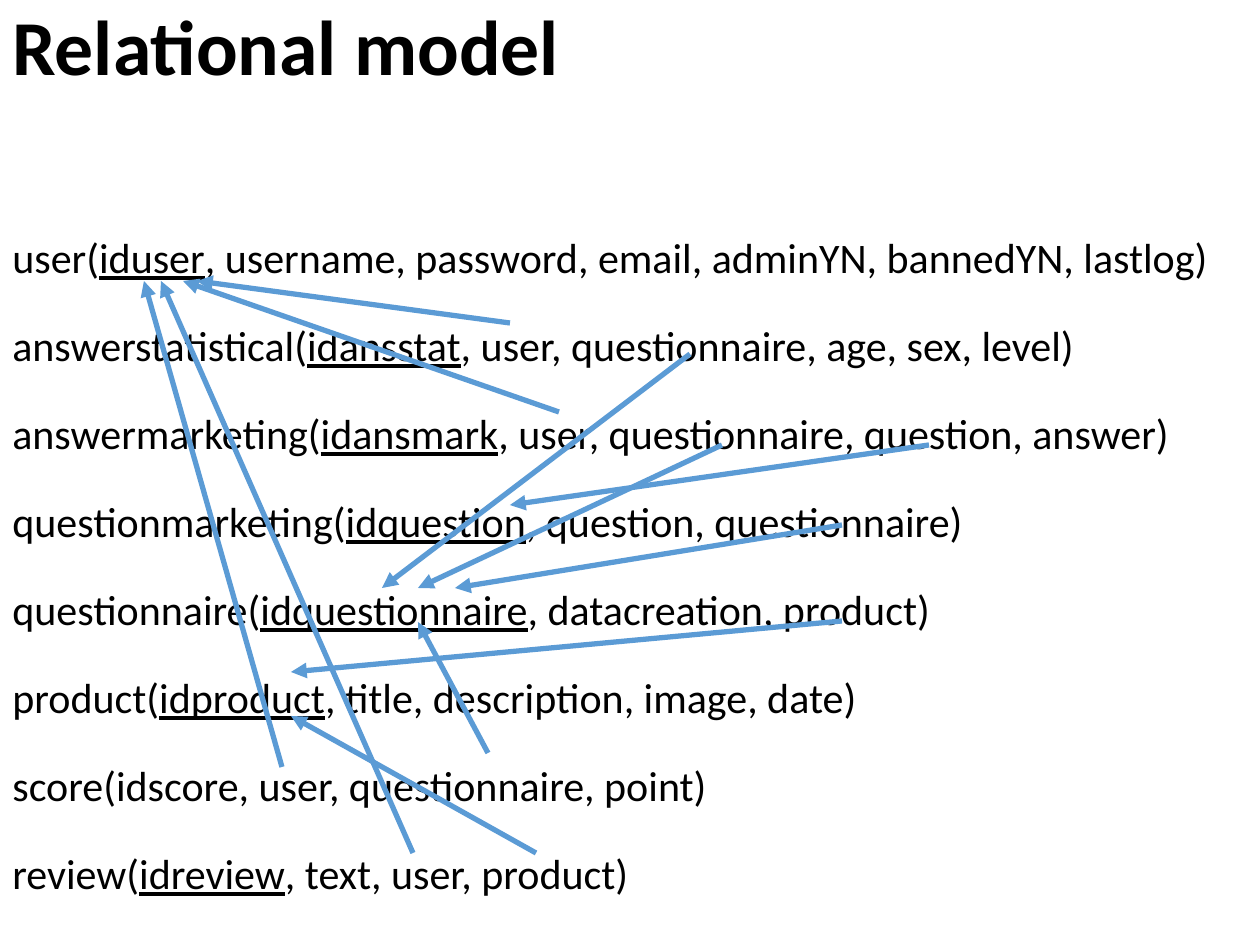
"""Build the relational model slide with its foreign key arrows."""
from dataclasses import dataclass

from lxml.etree import SubElement
from pptx import Presentation
from pptx.dml.color import RGBColor
from pptx.enum.shapes import MSO_CONNECTOR
from pptx.enum.text import MSO_ANCHOR
from pptx.oxml.ns import qn
from pptx.slide import Slide
from pptx.text.text import Font, TextFrame
from pptx.util import Emu, Pt

PIXELS_PER_INCH = 126
FONT_NAME = "Calibri"
COLORS = {"text": "000000", "arrow": "5B9BD5"}


@dataclass(frozen=True)
class Relation:
    name: str
    key: str
    attributes: str


@dataclass(frozen=True)
class Reference:
    start: tuple[int, int]
    end: tuple[int, int]


RELATIONS = [
    Relation("user(", "iduser", ", username, password, email, adminYN, bannedYN, lastlog)"),
    Relation("answerstatistical(", "idansstat", ", user, questionnaire, age, sex, level)"),
    Relation("answermarketing(", "idansmark", ", user, questionnaire, question, answer)"),
    Relation("questionmarketing(", "idquestion", ", question, questionnaire)"),
    Relation("questionnaire(", "idquestionnaire", ", datacreation, product)"),
    Relation("product(", "idproduct", ", title, description, image, date)"),
    Relation("score(idscore, user, questionnaire, point)", "", ""),
    Relation("review(", "idreview", ", text, user, product)"),
]

REFERENCES = [
    Reference((510, 323), (197, 281)),
    Reference((559, 412), (183, 281)),
    Reference((690, 354), (382, 588)),
    Reference((722, 445), (418, 588)),
    Reference((929, 445), (510, 505)),
    Reference((282, 767), (144, 281)),
    Reference((842, 525), (455, 588)),
    Reference((842, 621), (291, 672)),
    Reference((488, 753), (418, 622)),
    Reference((413, 853), (161, 281)),
    Reference((536, 853), (291, 716)),
]


def px(length: int) -> Emu:
    """Convert pixels to EMU."""
    return Emu(round(length * 914400 / PIXELS_PER_INCH))


def style_font(font: Font, size: float, bold: bool = False, underline: bool = False) -> None:
    """Apply the slide's typeface and colour."""
    font.name = FONT_NAME
    font.size = Pt(size)
    font.bold = bold
    font.underline = underline
    font.color.rgb = RGBColor.from_string(COLORS["text"])


def add_text_frame(slide: Slide, left: int, top: int, width: int, height: int) -> TextFrame:
    """Add a wrapping text box and return its text frame."""
    text_frame = slide.shapes.add_textbox(px(left), px(top), px(width), px(height)).text_frame
    text_frame.word_wrap = True
    return text_frame


def add_title(slide: Slide, title: str) -> None:
    """Add the slide title."""
    text_frame = add_text_frame(slide, 0, 0, 690, 107)
    text_frame.vertical_anchor = MSO_ANCHOR.MIDDLE
    text_frame.text = title
    paragraph = text_frame.paragraphs[0]
    paragraph.line_spacing = 0.8
    style_font(paragraph.runs[0].font, 44.4, bold=True)


def add_relations(slide: Slide, relations: list[Relation]) -> None:
    """List the relations with their keys underlined."""
    text_frame = add_text_frame(slide, 0, 205, 1260, 740)
    for index, relation in enumerate(relations):
        paragraph = text_frame.add_paragraph() if index else text_frame.paragraphs[0]
        paragraph.line_spacing = 1.4
        paragraph.space_before = Pt(10 if index else 0)
        for text in (relation.name, relation.key, relation.attributes):
            if text:
                run = paragraph.add_run()
                run.text = text
                style_font(run.font, 24, underline=text == relation.key)


def add_reference(slide: Slide, reference: Reference) -> None:
    """Draw an arrow from a foreign key to the key it refers to."""
    connector = slide.shapes.add_connector(
        MSO_CONNECTOR.STRAIGHT, *map(px, reference.start + reference.end)
    )
    connector.line.color.rgb = RGBColor.from_string(COLORS["arrow"])
    connector.line.width = Pt(3)
    SubElement(connector.line._get_or_add_ln(), qn("a:tailEnd"), type="triangle")
    SubElement(connector._element.spPr, qn("a:effectLst"))


def main() -> None:
    """Create and save the presentation."""
    presentation = Presentation()
    presentation.slide_width = px(1260)
    presentation.slide_height = px(945)
    slide = presentation.slides.add_slide(presentation.slide_layouts[6])
    add_title(slide, "Relational model")
    add_relations(slide, RELATIONS)
    for reference in REFERENCES:
        add_reference(slide, reference)
    presentation.save("out.pptx")


if __name__ == "__main__":
    main()
